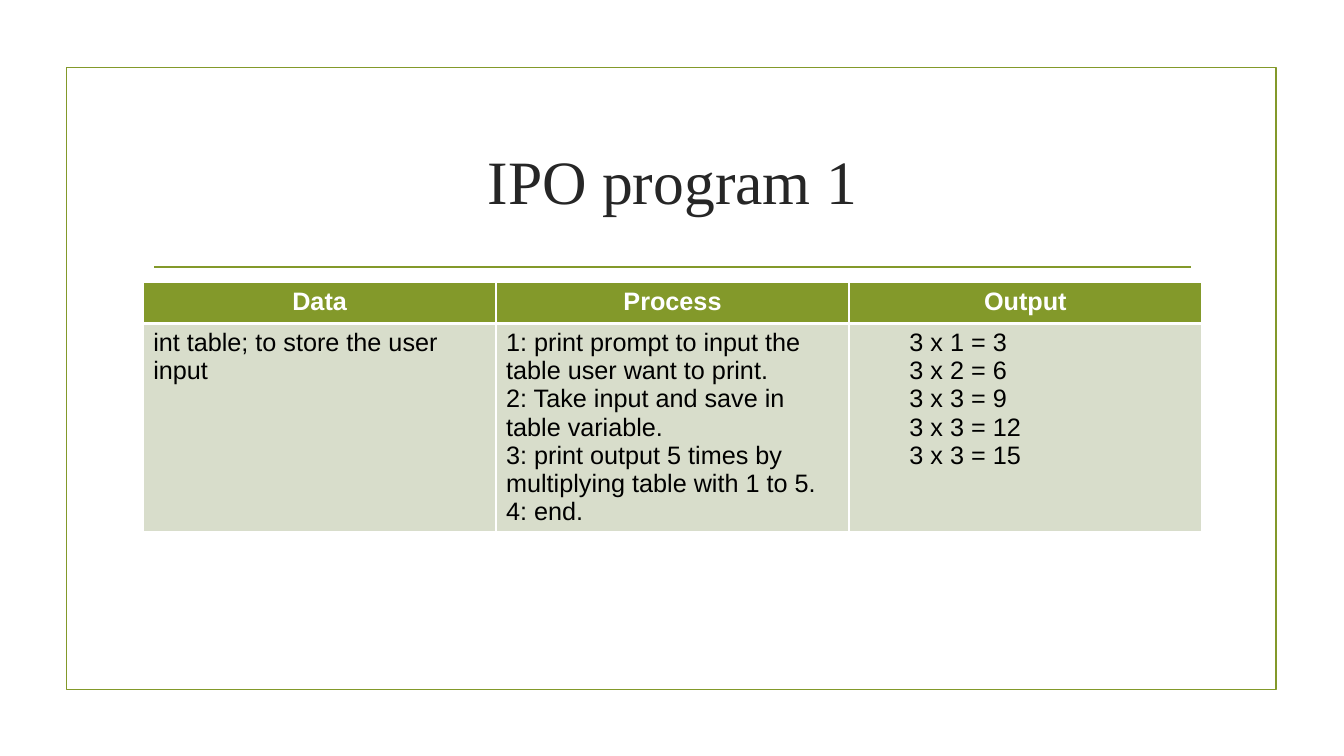
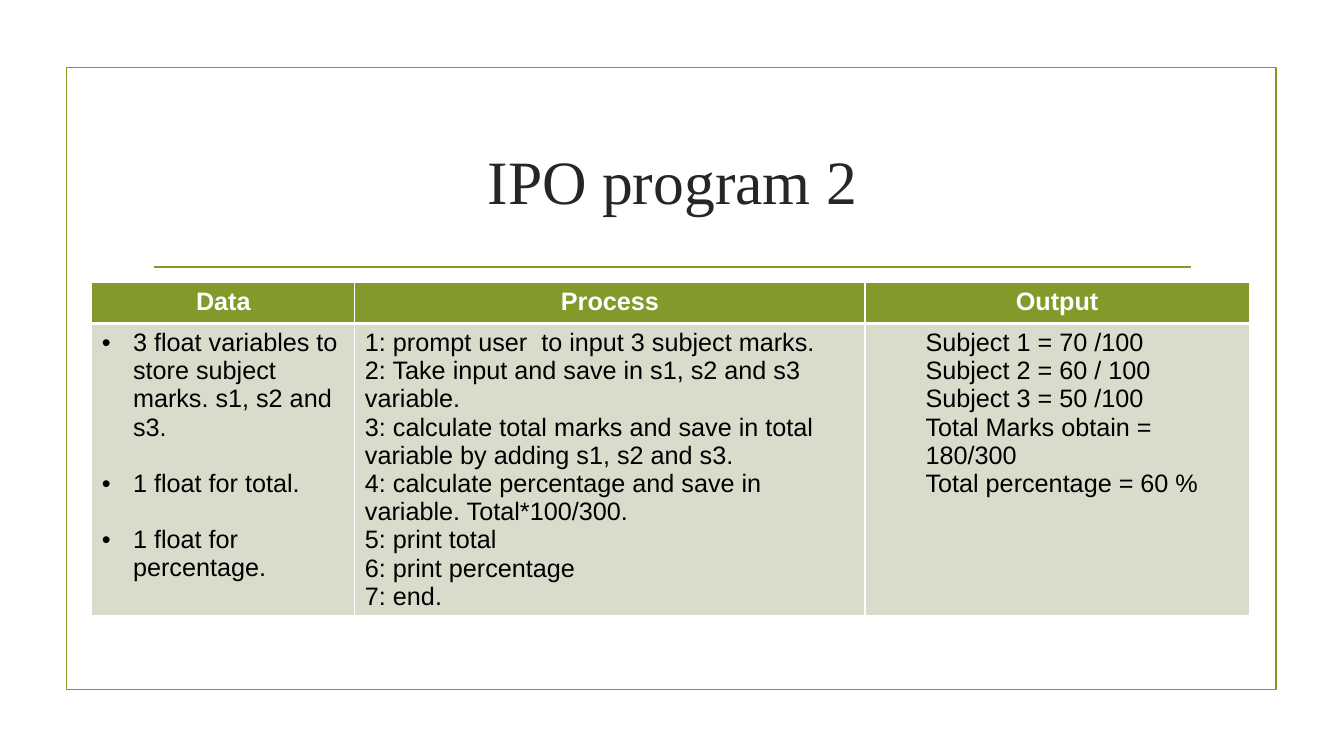
from dataclasses import dataclass
from typing import Optional

from lxml.etree import SubElement
from pptx import Presentation
from pptx.dml.color import RGBColor
from pptx.enum.shapes import MSO_CONNECTOR, MSO_SHAPE
from pptx.enum.text import MSO_ANCHOR, PP_ALIGN
from pptx.oxml import parse_xml
from pptx.oxml.ns import nsdecls, qn
from pptx.slide import Slide, SlideLayout
from pptx.table import _Cell
from pptx.text.text import _Paragraph
from pptx.util import Inches, Pt

# Shared look
GREEN, PALE_GREEN = "83992A", "D8DDCB"
WHITE, BLACK, CHARCOAL = "FFFFFF", "000000", "262626"
TITLE_FONT, BODY_FONT = "Times New Roman", "Arial"
TABLE_TOP, HEADER_HEIGHT = 2.8, 0.41
HEADINGS = ("Data", "Process", "Output")
BULLET_INDENT, OUTPUT_INDENT = 0.31, 0.5
BULLET_GAP = 20


@dataclass(frozen=True)
class Column:
    width: float
    lines: tuple[str, ...]
    indent: float = 0
    bulleted: bool = False


@dataclass(frozen=True)
class Program:
    title: str
    table_left: float
    body_height: float
    columns: tuple[Column, ...]


PROGRAMS = (
    Program("IPO program 1", 1.42, 2.05, (
        Column(3.5, ("int table; to store the user input",)),
        Column(3.5, (
            "1: print prompt to input the table user want to print.",
            "2: Take input and save in table variable.",
            "3: print output 5 times by multiplying table with 1 to 5.",
            "4: end.",
        )),
        Column(3.5, (
            "3 x 1 = 3",
            "3 x 2 = 6",
            "3 x 3 = 9",
            "3 x 3 = 12",
            "3 x 3 = 15",
        ), OUTPUT_INDENT),
    )),
    Program("IPO program 2", 0.91, 2.88, (
        Column(2.61, (
            "3 float variables to store subject marks. s1, s2 and s3.",
            "1 float for total.",
            "1 float for percentage.",
        ), BULLET_INDENT, bulleted=True),
        Column(5.06, (
            "1: prompt user  to input 3 subject marks.",
            "2: Take input and save in s1, s2 and s3 variable.",
            "3: calculate total marks and save in total variable by adding s1, s2 and s3.",
            "4: calculate percentage and save in variable. Total*100/300.",
            "5: print total",
            "6: print percentage",
            "7: end.",
        )),
        Column(3.81, (
            "Subject 1 = 70 /100",
            "Subject 2 = 60 / 100",
            "Subject 3 = 50 /100",
            "Total Marks obtain = 180/300",
            "Total percentage = 60 %",
        ), OUTPUT_INDENT),
    )),
)


def rgb(color: str) -> RGBColor:
    return RGBColor.from_string(color)


def write_text(paragraph: _Paragraph, text: str, *, size: float = 18,
               font: str = BODY_FONT, color: str = BLACK, bold: bool = False,
               align: Optional[PP_ALIGN] = PP_ALIGN.LEFT) -> None:
    paragraph.alignment = align
    run = paragraph.add_run()
    run.text = text
    run.font.size = Pt(size)
    run.font.name = font
    run.font.bold = bold
    run.font.color.rgb = rgb(color)


def indent_paragraph(paragraph: _Paragraph, indent: float, bulleted: bool) -> None:
    properties = paragraph._p.get_or_add_pPr()
    properties.set("marL", str(Inches(indent)))
    properties.set("indent", str(Inches(-indent if bulleted else 0)))
    if bulleted:
        bullet_color = SubElement(properties, qn("a:buClr"))
        SubElement(bullet_color, qn("a:srgbClr"), val=BLACK)
        SubElement(properties, qn("a:buFont"), typeface=BODY_FONT)
        SubElement(properties, qn("a:buChar"), char="•")


def format_cell(cell: _Cell, fill: str, top: float, bottom: float) -> None:
    """Fill the cell and give it white borders, in points."""
    cell.fill.solid()
    cell.fill.fore_color.rgb = rgb(fill)
    borders = {"L": 1, "R": 1, "T": top, "B": bottom}
    for position, (side, width) in enumerate(borders.items()):
        cell._tc.get_or_add_tcPr().insert(position, parse_xml(
            f'<a:ln{side} {nsdecls("a")} w="{Pt(width)}"><a:solidFill>'
            f'<a:srgbClr val="{WHITE}"/></a:solidFill></a:ln{side}>'))


def decorate_layout(layout: SlideLayout, slide: Slide) -> None:
    """Place the title, and move the frame and rule from the slide to its layout."""
    title = layout.placeholders[0]
    title.left, title.top = Inches(1.42), Inches(1.07)
    title.width, title.height = Inches(10.5), Inches(1.43)

    frame = slide.shapes.add_shape(
        MSO_SHAPE.RECTANGLE, Inches(0.66), Inches(0.67), Inches(12), Inches(6.17))
    frame.fill.background()
    frame.shadow.inherit = False
    rule = slide.shapes.add_connector(
        MSO_CONNECTOR.STRAIGHT, Inches(1.53), Inches(2.65), Inches(11.81), Inches(2.65))

    for position, part in enumerate((frame, rule)):
        part.line.color.rgb = rgb(GREEN)
        part.line.width = Pt(1.25)
        # Ids must stay unique among the layout's own shapes
        part.element.xpath("./*/p:cNvPr")[0].set("id", str(101 + position))
        layout.shapes.element.insert(2 + position, part.element)
    SubElement(rule.element.spPr, qn("a:effectLst"))


def add_title(slide: Slide, text: str) -> None:
    text_frame = slide.shapes.title.text_frame
    text_frame.vertical_anchor = MSO_ANCHOR.MIDDLE
    write_text(text_frame.paragraphs[0], text, size=44, font=TITLE_FONT,
               color=CHARCOAL, align=PP_ALIGN.CENTER)


def fill_column(cell: _Cell, column: Column) -> None:
    for index, line in enumerate(column.lines):
        paragraph = (cell.text_frame.add_paragraph() if index
                     else cell.text_frame.paragraphs[0])
        write_text(paragraph, line)
        if column.bulleted and index:
            paragraph.space_before = Pt(BULLET_GAP)
        if column.indent:
            indent_paragraph(paragraph, column.indent, column.bulleted)


def add_program_table(slide: Slide, program: Program) -> None:
    total_width = sum(column.width for column in program.columns)
    table = slide.shapes.add_table(
        2, len(program.columns), Inches(program.table_left), Inches(TABLE_TOP),
        Inches(total_width), Inches(HEADER_HEIGHT + program.body_height)).table
    table.horz_banding = False
    table.rows[0].height = Inches(HEADER_HEIGHT)
    table.rows[1].height = Inches(program.body_height)
    for index, (heading, column) in enumerate(zip(HEADINGS, program.columns)):
        table.columns[index].width = Inches(column.width)
        header, body = table.cell(0, index), table.cell(1, index)
        write_text(header.text_frame.paragraphs[0], heading, color=WHITE,
                   bold=True, align=PP_ALIGN.CENTER)
        fill_column(body, column)
        format_cell(header, GREEN, top=1, bottom=3)
        format_cell(body, PALE_GREEN, top=3, bottom=1)


def main() -> None:
    presentation = Presentation()
    presentation.slide_width = Inches(13.33)
    presentation.slide_height = Inches(7.5)
    title_only = presentation.slide_layouts[5]
    for number, program in enumerate(PROGRAMS):
        slide = presentation.slides.add_slide(title_only)
        if number == 0:
            decorate_layout(title_only, slide)
        add_title(slide, program.title)
        add_program_table(slide, program)
    presentation.save("out.pptx")


if __name__ == "__main__":
    main()
